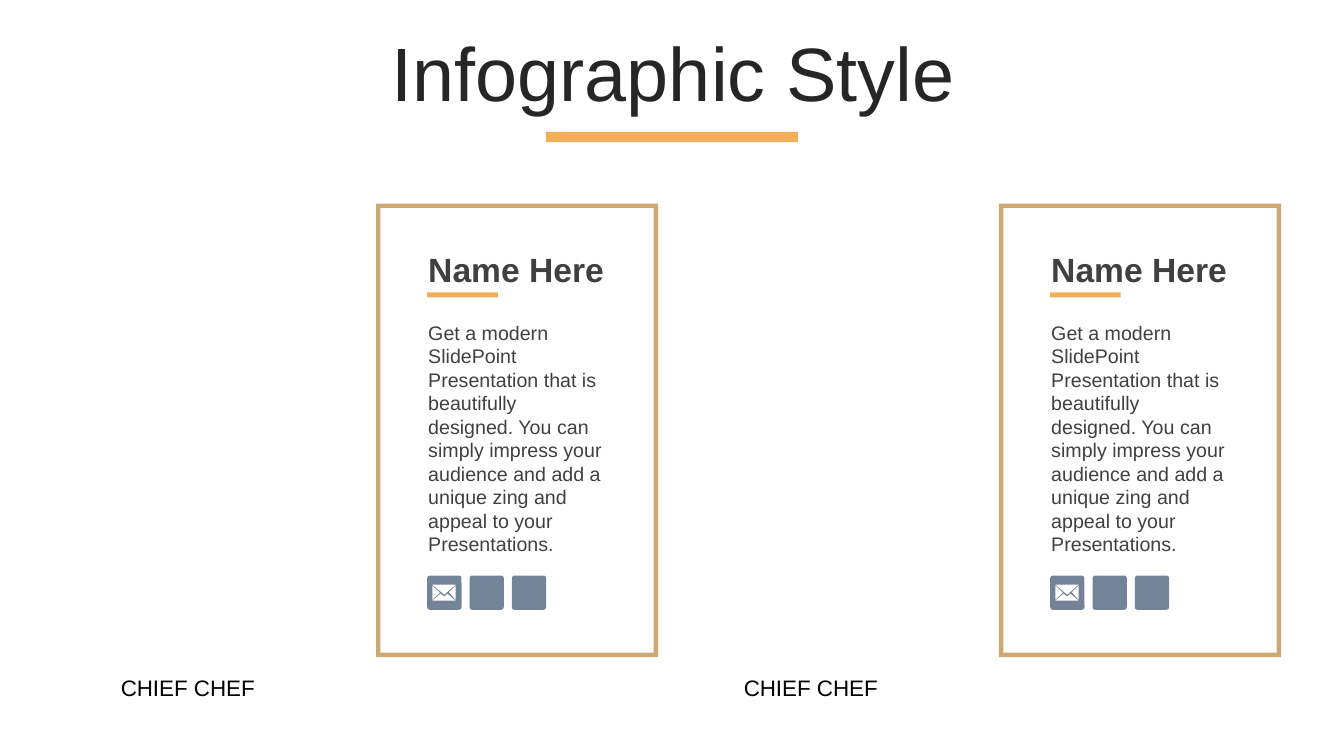
from dataclasses import dataclass

from pptx import Presentation
from pptx.dml.color import RGBColor
from pptx.enum import shapes as sh, text as tx
from pptx.util import Pt


@dataclass(frozen=True)
class Theme:
    """Colours, font and type sizes of the slide."""
    font: str = "Arial"
    dark: str = "262626"
    grey: str = "404040"
    black: str = "000000"
    white: str = "FFFFFF"
    accent: str = "F4AE59"
    gold: str = "CDA874"
    slate: str = "748398"
    title: int = 54
    name: int = 24
    role: int = 16
    body: int = 14


class Deck:
    """Holds the theme and the current slide and draws each kind of element."""

    def __init__(self, theme):
        """Start a wide deck with one title-only slide."""
        self.theme = theme
        self.prs = Presentation()
        self.prs.slide_width, self.prs.slide_height = Pt(960), Pt(540)
        self.slide = self.prs.slides.add_slide(self.prs.slide_layouts[5])
        self.items = self.slide.shapes

    def group(self):
        """Send the next elements to a new group."""
        self.items = self.slide.shapes.add_group_shape().shapes

    def ungroup(self):
        """Send the next elements to the slide itself."""
        self.items = self.slide.shapes

    def paint(self, shape, color):
        """Give a shape a plain fill without line or shadow."""
        shape.fill.solid()
        shape.fill.fore_color.rgb = RGBColor.from_string(color)
        shape.line.fill.background()
        shape.shadow.inherit = False

    def label(self, box, words, size, color, bold=False, align=tx.PP_ALIGN.LEFT,
              anchor=tx.MSO_ANCHOR.MIDDLE):
        """Put one styled paragraph in a box."""
        frame = box.text_frame
        frame.word_wrap = True
        frame.auto_size = tx.MSO_AUTO_SIZE.NONE
        frame.vertical_anchor = anchor
        frame.text = words
        para = frame.paragraphs[0]
        para.alignment = align
        font = para.font
        font.name, font.size, font.bold = self.theme.font, Pt(size), bold
        font.color.rgb = RGBColor.from_string(color)
        return para

    def title(self, words, x, y, w, h):
        """Move and format the title placeholder."""
        box = self.slide.shapes.title
        box.left, box.top, box.width, box.height = Pt(x), Pt(y), Pt(w), Pt(h)
        para = self.label(box, words, self.theme.title, self.theme.dark,
                          align=tx.PP_ALIGN.CENTER)
        para.line_spacing = 0.9

    def text(self, words, x, y, w, h, size, color, **style):
        """Add a text box."""
        box = self.items.add_textbox(Pt(x), Pt(y), Pt(w), Pt(h))
        self.label(box, words, size, color, **style)

    def shape(self, kind, x, y, w, h, color, adjust=None):
        """Add a preset shape."""
        item = self.items.add_shape(kind, Pt(x), Pt(y), Pt(w), Pt(h))
        if adjust is not None:
            item.adjustments[0] = adjust
        self.paint(item, color)

    def outline(self, parts, x, y, color):
        """Add a freeform whose parts are given in tenths of a point."""
        pen = self.items.build_freeform(*parts[0][0], scale=Pt(1) / 10)
        pen.add_line_segments(parts[0][1:])
        for part in parts[1:]:
            pen.move_to(*part[0])
            pen.add_line_segments(part[1:])
        self.paint(pen.convert_to_shape(Pt(x), Pt(y)), color)


BLURB = ("Get a modern SlidePoint Presentation that is beautifully designed. "
         "You can simply impress your audience and add a unique zing and "
         "appeal to your Presentations.")
LETTER = [
    [(144, 130), (122, 151), (94, 130), (36, 180), (202, 180), (144, 130)],
    [(202, 72), (155, 119), (202, 173), (202, 72)],
    [(36, 72), (36, 173), (90, 122), (36, 72)],
    [(36, 65), (122, 137), (202, 65), (36, 65)],
]


def card(deck, x):
    """Draw one profile card with its role line, starting at x."""
    look, kind = deck.theme, sh.MSO_SHAPE
    deck.text("CHIEF CHEF", x, 482.4, 136, 18, look.role, look.black,
              align=tx.PP_ALIGN.JUSTIFY)
    deck.group()
    deck.text(BLURB, x + 219.6, 225.4, 142, 177, look.body, look.grey,
              anchor=tx.MSO_ANCHOR.TOP)
    deck.text("Name Here", x + 219.6, 180, 142, 25, look.name, look.grey,
              bold=True)
    deck.shape(kind.RECTANGLE, x + 226, 208.8, 50.4, 3.6, look.accent)
    for i in range(3):
        deck.shape(kind.ROUNDED_RECTANGLE, x + 226 + i * 30.2, 411.1,
                   24.5, 24.5, look.slate, 0.08)
    deck.outline(LETTER, x + 226, 411.1, look.white)
    deck.ungroup()
    deck.shape(kind.FRAME, x + 189.4, 145.4, 201.6, 324, look.gold, 0.016)


def main():
    """Build and save the slide."""
    deck = Deck(Theme())
    deck.title("Infographic Style", 25.2, 26.6, 911.5, 56.9)
    deck.shape(sh.MSO_SHAPE.RECTANGLE, 390, 94.3, 180, 7.2, deck.theme.accent)
    for i in range(2):
        card(deck, 79.2 + i * 445)
    deck.prs.save("out.pptx")


if __name__ == "__main__":
    main()
